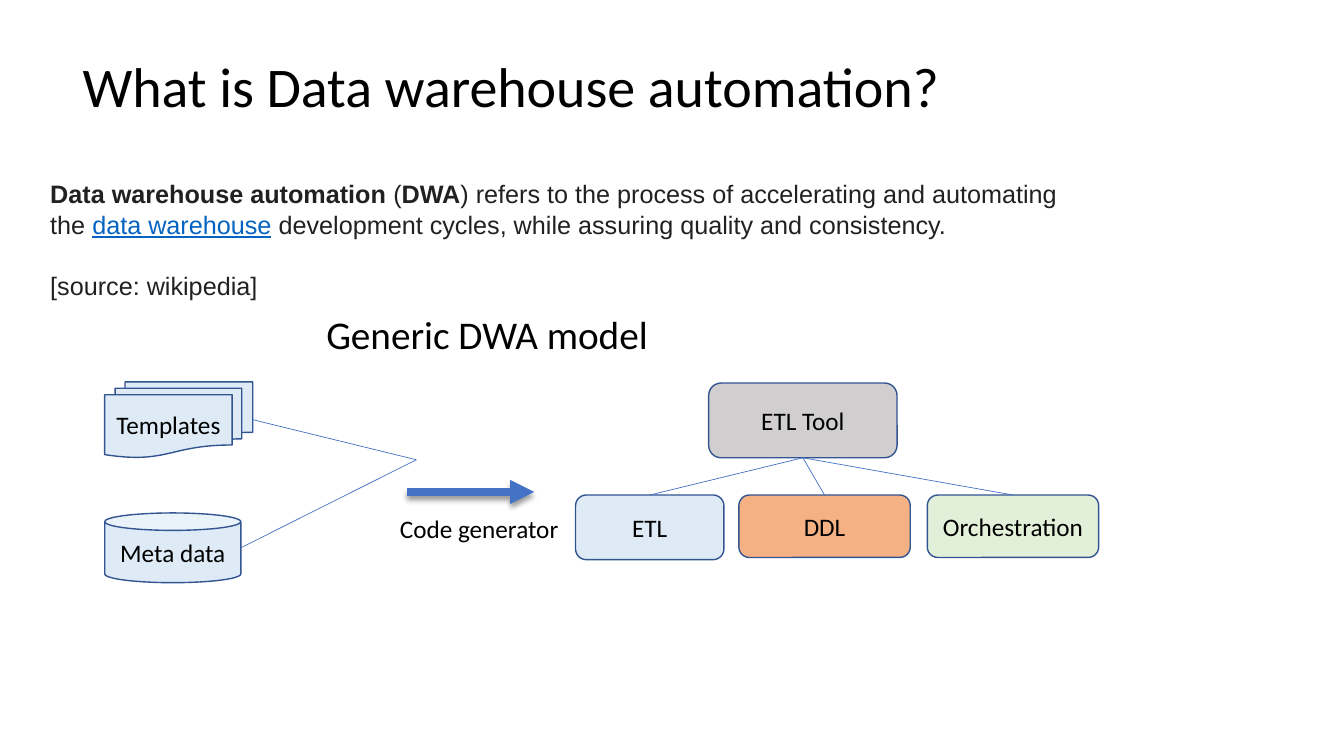
"""Build the slide that explains data warehouse automation."""
from dataclasses import dataclass

from lxml import etree
from pptx import Presentation
from pptx.dml.color import RGBColor
from pptx.enum.shapes import MSO_CONNECTOR, MSO_SHAPE
from pptx.enum.text import MSO_ANCHOR, MSO_AUTO_SIZE, PP_ALIGN
from pptx.oxml.ns import qn
from pptx.util import Pt

ROUND = MSO_SHAPE.ROUNDED_RECTANGLE
CAN = MSO_SHAPE.CAN
DOCS = MSO_SHAPE.FLOWCHART_MULTIDOCUMENT
STRAIGHT = MSO_CONNECTOR.STRAIGHT
TOP, MIDDLE = MSO_ANCHOR.TOP, MSO_ANCHOR.MIDDLE
LEFT, CENTER = PP_ALIGN.LEFT, PP_ALIGN.CENTER
NO_FIT = MSO_AUTO_SIZE.NONE

BLACK, INK, LINK = "000000", "202122", "0563C1"
BLUE, OUTLINE, PALE = "4472C4", "325491", "DEEBF7"


@dataclass(frozen=True)
class Node:
    """A labelled shape of the diagram, in points."""

    text: str
    kind: int
    x: float
    y: float
    w: float
    h: float
    fill: str

    @property
    def mid_x(self) -> float:
        """Return the horizontal centre."""
        return self.x + self.w / 2

    @property
    def right(self) -> tuple[float, float]:
        """Return the middle of the right side."""
        return self.x + self.w, self.y + self.h / 2


@dataclass(frozen=True)
class Span:
    """A stretch of text in one style."""

    text: str
    bold: bool = False
    link: bool = False


ETL_TOOL = Node("ETL Tool", ROUND, 506.2, 273.6, 134.6, 53.4, "D0CECE")
OUTPUTS = [
    Node("ETL", ROUND, 411.1, 353.6, 106, 46.2, PALE),
    Node("DDL", ROUND, 527.8, 353.6, 122.4, 44.6, "F4B183"),
    Node("Orchestration", ROUND, 662.4, 353.6, 122.4, 44.6, "E2F0D9"),
]
SOURCES = [
    Node("Templates", DOCS, 74.8, 272.8, 105.8, 54, PALE),
    Node("Meta data", CAN, 74.8, 366.4, 97.2, 49.8, PALE),
]
JOIN = (297.4, 328.4)

DEFINITION = [
    [
        Span("Data warehouse automation", bold=True),
        Span(" ("),
        Span("DWA", bold=True),
        Span(") refers to the process of accelerating and automating\vthe "),
        Span("data warehouse", link=True),
        Span(" development cycles, while assuring quality and consistency."),
    ],
    [Span("[source: wikipedia]")],
]


def rgb(color: str) -> RGBColor:
    """Turn a hex string into a colour."""
    return RGBColor.from_string(color)


def style(p, size: float, font: str = "Calibri", color: str = BLACK, align=LEFT) -> None:
    """Set the font and alignment of a paragraph."""
    p.alignment = align
    p.font.size = Pt(size)
    p.font.name = font
    p.font.color.rgb = rgb(color)


def add_title(s, text: str) -> None:
    """Fill and place the title placeholder."""
    sp = s.shapes.title
    sp.left, sp.top, sp.width, sp.height = Pt(51.8), Pt(33.2), Pt(733), Pt(55.4)
    tf = sp.text_frame
    tf.text = text
    tf.auto_size = NO_FIT
    tf.vertical_anchor = TOP
    style(tf.paragraphs[0], 40)


def add_box(s, x: float, y: float, w: float, h: float):
    """Add an unwrapped text box and return its text frame."""
    tf = s.shapes.add_textbox(Pt(x), Pt(y), Pt(w), Pt(h)).text_frame
    tf.word_wrap = False
    return tf


def add_label(s, text: str, x: float, y: float, w: float, h: float, size: float) -> None:
    """Add a one-line label."""
    p = add_box(s, x, y, w, h).paragraphs[0]
    p.text = text
    style(p, size)


def add_definition(s) -> None:
    """Add the definition and its source."""
    tf = add_box(s, 28.8, 123.8, 746, 94.4)
    for i, spans in enumerate(DEFINITION):
        p = tf.add_paragraph() if i else tf.paragraphs[0]
        style(p, 18, "Arial", INK)
        p.line_spacing = Pt(21.8)
        if i:
            p.space_before = Pt(21.8)
        for span in spans:
            for j, line in enumerate(span.text.split("\v")):
                if j:
                    p.add_line_break()
                r = p.add_run()
                r.text = line
                r.font.size = Pt(18)
                if span.bold:
                    r.font.bold = True
                if span.link:
                    r.font.underline = True
                    r.font.color.rgb = rgb(LINK)


def add_node(s, node: Node) -> None:
    """Draw a diagram shape with its label."""
    sp = s.shapes.add_shape(node.kind, Pt(node.x), Pt(node.y), Pt(node.w), Pt(node.h))
    sp.shadow.inherit = False
    sp.fill.solid()
    sp.fill.fore_color.rgb = rgb(node.fill)
    sp.line.color.rgb = rgb(OUTLINE)
    sp.line.width = Pt(1)
    tf = sp.text_frame
    tf.word_wrap = True
    tf.vertical_anchor = MIDDLE
    p = tf.paragraphs[0]
    p.text = node.text
    style(p, 18, align=CENTER)


def add_line(s, start: tuple[float, float], end: tuple[float, float], width: float = 0.5):
    """Draw a straight line and return it with its effect list."""
    cxn = s.shapes.add_connector(STRAIGHT, *(Pt(v) for v in start + end))
    cxn.line.color.rgb = rgb(BLUE)
    cxn.line.width = Pt(width)
    effects = etree.SubElement(cxn._element.spPr, qn("a:effectLst"))
    return cxn, effects


def add_arrow(s, start: tuple[float, float], end: tuple[float, float]) -> None:
    """Draw the thick arrow with a soft shadow below."""
    cxn, effects = add_line(s, start, end, 5.75)
    etree.SubElement(cxn.line._get_or_add_ln(), qn("a:tailEnd"), type="triangle")
    shadow = etree.SubElement(effects, qn("a:outerShdw"), blurRad=str(Pt(4)),
                              dist=str(Pt(3)), dir="5400000", rotWithShape="0")
    color = etree.SubElement(shadow, qn("a:srgbClr"), val=BLACK)
    etree.SubElement(color, qn("a:alpha"), val="40000")


def main() -> None:
    """Build and save the slide."""
    prs = Presentation()
    prs.slide_width, prs.slide_height = Pt(960), Pt(540)
    s = prs.slides.add_slide(prs.slide_layouts[5])
    add_title(s, "What is Data warehouse automation?")
    add_definition(s)
    for node in [*OUTPUTS, ETL_TOOL, *SOURCES]:
        add_node(s, node)
    for node in OUTPUTS:
        add_line(s, (ETL_TOOL.mid_x, ETL_TOOL.y + ETL_TOOL.h), (node.mid_x, node.y))
    for node in SOURCES:
        add_line(s, node.right, JOIN)
    add_arrow(s, (290.8, 351.4), (381.6, 351.4))
    add_label(s, "Code generator", 278.6, 362.8, 129, 28.8, 18)
    add_label(s, "Generic DWA model", 226, 218.2, 365, 41, 28)
    prs.save("out.pptx")


if __name__ == "__main__":
    main()
